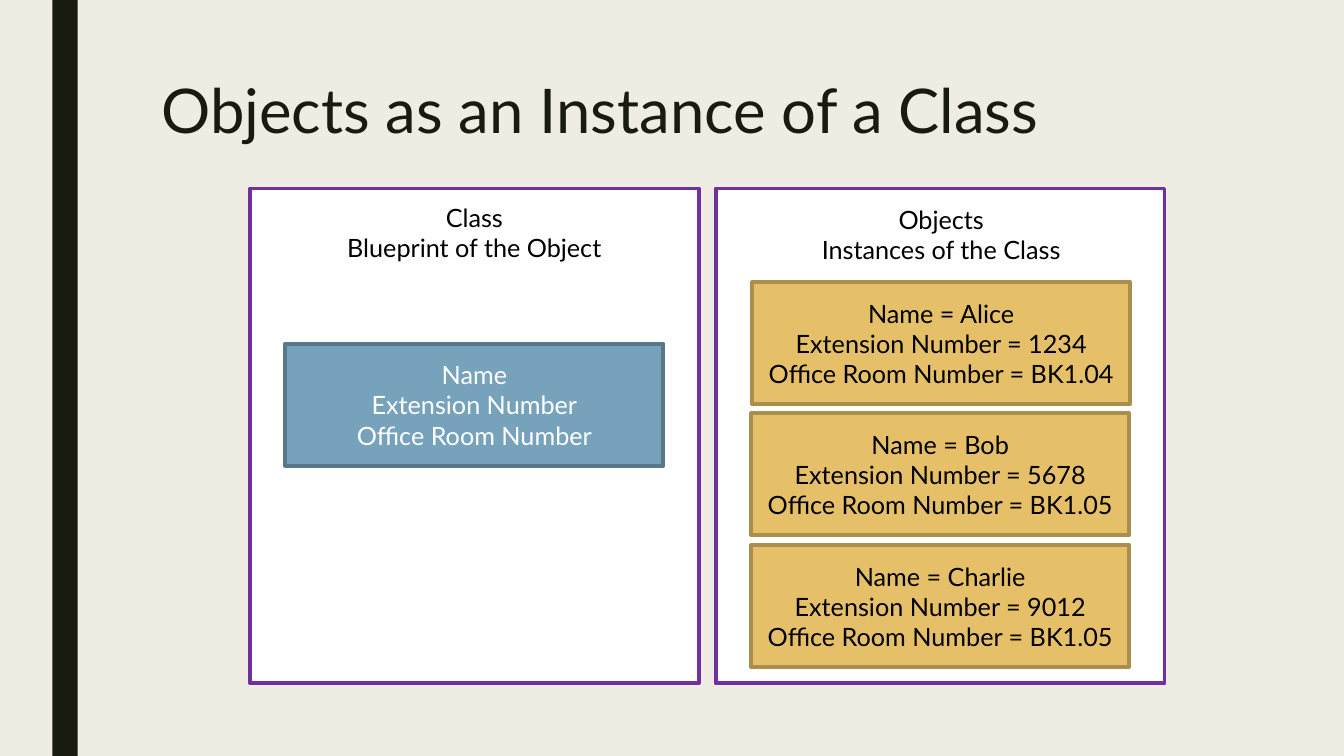
from pptx import Presentation
from pptx.dml.color import RGBColor
from pptx.enum.shapes import MSO_SHAPE
from pptx.enum.text import MSO_ANCHOR, MSO_AUTO_SIZE, PP_ALIGN
from pptx.util import Inches, Pt

RECT = MSO_SHAPE.RECTANGLE
TOP, MIDDLE = MSO_ANCHOR.TOP, MSO_ANCHOR.MIDDLE
CENTER, LEFT = PP_ALIGN.CENTER, PP_ALIGN.LEFT
FIT_SHAPE, NO_FIT = MSO_AUTO_SIZE.SHAPE_TO_FIT_TEXT, MSO_AUTO_SIZE.NONE

CREAM = RGBColor(0xEF, 0xED, 0xE3)
DARK = RGBColor(0x19, 0x1B, 0x0E)
WHITE = RGBColor(0xFF, 0xFF, 0xFF)
BLACK = RGBColor(0x00, 0x00, 0x00)
PURPLE = RGBColor(0x70, 0x30, 0xA0)
BLUE = RGBColor(0x77, 0xA2, 0xBB)
BLUE_EDGE = RGBColor(0x58, 0x78, 0x8A)
GOLD = RGBColor(0xE6, 0xC0, 0x69)
GOLD_EDGE = RGBColor(0xAA, 0x8E, 0x4E)
FONT = "Lato"


def add_rect(shapes, x, y, w, h, fill, edge=None):
    sp = shapes.add_shape(RECT, Inches(x), Inches(y), Inches(w), Inches(h))
    sp.shadow.inherit = False
    sp.fill.solid()
    sp.fill.fore_color.rgb = fill
    if edge is None:
        sp.line.fill.background()
    else:
        sp.line.color.rgb = edge
        sp.line.width = Pt(2.75)
    return sp


def write_lines(tf, lines, color, anchor=TOP, size=18, align=CENTER):
    tf.word_wrap = True
    tf.vertical_anchor = anchor
    for i, line in enumerate(lines):
        p = tf.add_paragraph() if i else tf.paragraphs[0]
        p.text = line
        p.alignment = align
        p.font.name = FONT
        p.font.size = Pt(size)
        p.font.color.rgb = color


prs = Presentation()
prs.slide_width, prs.slide_height = Inches(13.33), Inches(7.5)
s = prs.slides.add_slide(prs.slide_layouts[5])
s.background.fill.solid()
s.background.fill.fore_color.rgb = CREAM

add_rect(s.shapes, 0.52, 0, 0.25, 7.5, DARK)

title = s.shapes.title
title.left, title.top = Inches(1.5), Inches(0.75)
title.width, title.height = Inches(10.5), Inches(0.84)
write_lines(title.text_frame, ["Objects as an Instance of a Class"], DARK, size=44, align=LEFT)
title.text_frame.auto_size = NO_FIT
title.text_frame.paragraphs[0].line_spacing = 0.89

# Panel left, heading left and top, heading, card fill, edge and text colours, cards (left, top, lines)
panels = [
    (2.48, 3.09, 1.96, ["Class", "Blueprint of the Object"], BLUE, BLUE_EDGE, WHITE,
     [(2.83, 3.41, ["Name", "Extension Number", "Office Room Number"])]),
    (7.1, 7.72, 1.98, ["Objects", "Instances of the Class"], GOLD, GOLD_EDGE, BLACK,
     [(x, y, [f"Name = {name}", f"Extension Number = {ext}", f"Office Room Number = {room}"])
      for x, y, name, ext, room in [(7.46, 2.8, "Alice", "1234", "BK1.04"),
                                    (7.45, 4.1, "Bob", "5678", "BK1.05"),
                                    (7.45, 5.41, "Charlie", "9012", "BK1.05")]]),
]

for left, head_x, head_y, heading, fill, edge, color, cards in panels:
    group = s.shapes.add_group_shape()
    add_rect(group.shapes, left, 1.87, 4.45, 4.91, WHITE, PURPLE)
    for x, y, lines in cards:
        card = add_rect(group.shapes, x, y, 3.75, 1.21, fill, edge)
        write_lines(card.text_frame, lines, color, MIDDLE)
    box = group.shapes.add_textbox(Inches(head_x), Inches(head_y), Inches(3.23), Inches(0.71))
    write_lines(box.text_frame, heading, BLACK)
    box.text_frame.auto_size = FIT_SHAPE

prs.save("out.pptx")
